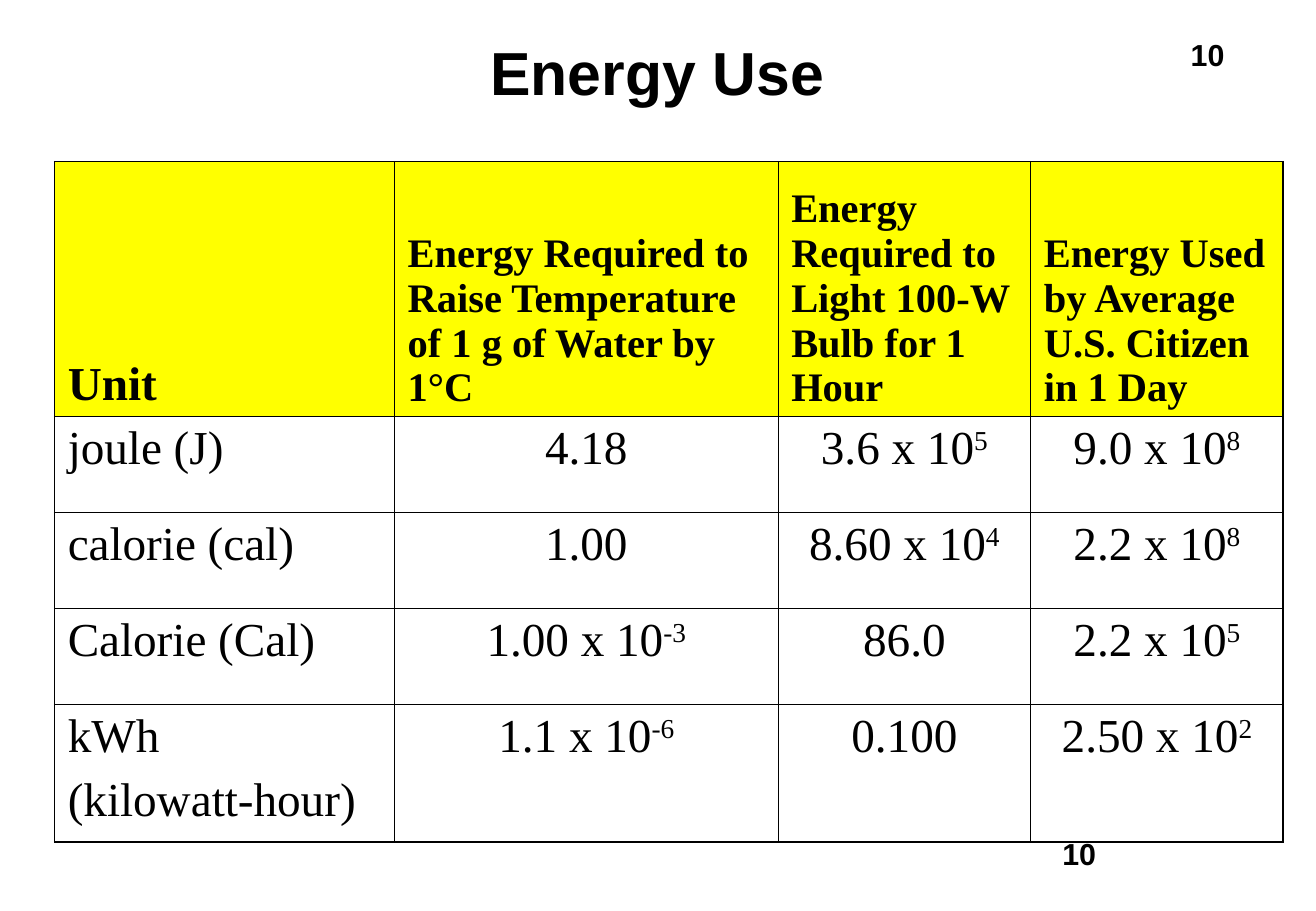
from pptx import Presentation
from pptx.dml.color import RGBColor as RGB
from pptx.enum.text import MSO_ANCHOR as Anchor, PP_ALIGN as Align
from pptx.oxml import parse_xml
from pptx.util import Pt

HUES = {"ink": "000000", "head": "FFFF00"}
NS = "http://schemas.openxmlformats.org/drawingml/2006/main"
THIN, THICK = 0.45, 1.08


def style(para, face, size, bold, align):
    para.alignment = align
    font = para.font
    font.name, font.size, font.bold = face, Pt(size), bold
    font.color.rgb = RGB.from_string(HUES["ink"])


def edge(cell, side, width):
    cell._tc.get_or_add_tcPr().append(parse_xml(
        f'<a:ln{side} xmlns:a="{NS}" w="{Pt(width)}"><a:solidFill>'
        f'<a:srgbClr val="{HUES["ink"]}"/></a:solidFill></a:ln{side}>'))


deck = Presentation()
deck.slide_width, deck.slide_height = Pt(780.48), Pt(540)
slide = deck.slides.add_slide(deck.slide_layouts[6])

labels = [
    ("10", 699.1, 18, 101.5, 28.8, 18, Align.LEFT, Anchor.TOP, False),
    ("10", 558.7, 491.8, 162.7, 36, 18, Align.CENTER, Anchor.TOP, True),
    ("Energy Use", 58.3, 0, 663.1, 90, 36, Align.CENTER, Anchor.MIDDLE, True),
]
for text, left, top, width, height, size, align, anchor, wrap in labels:
    box = slide.shapes.add_textbox(Pt(left), Pt(top), Pt(width), Pt(height))
    frame = box.text_frame
    frame.word_wrap, frame.vertical_anchor = wrap, anchor
    frame.text = text
    style(frame.paragraphs[0], "Arial", size, True, align)
frame.paragraphs[0].line_spacing = 0.9

rows = [
    ["Unit", "Energy Required to Raise Temperature of 1 g of Water by 1°C",
     "Energy Required to Light 100-W Bulb for 1 Hour",
     "Energy Used by Average U.S. Citizen in 1 Day"],
    ["joule (J)", "4.18", "3.6 x 10^5", "9.0 x 10^8"],
    ["calorie (cal)", "1.00", "8.60 x 10^4", "2.2 x 10^8"],
    ["Calorie (Cal)", "1.00 x 10^-3", "86.0", "2.2 x 10^5"],
    ["kWh\n(kilowatt-hour)", "1.1 x 10^-6", "0.100", "2.50 x 10^2"],
]
widths = [201.6, 227.5, 149.8, 149.8]
heights = [151.2, 56.9, 56.9, 56.9, 81.4]
table = slide.shapes.add_table(
    len(rows), len(widths), Pt(32.4), Pt(95.8),
    Pt(sum(widths)), Pt(sum(heights))).table
table.first_row = table.horz_banding = False
for col, width in zip(table.columns, widths):
    col.width = Pt(width)
for row, height in zip(table.rows, heights):
    row.height = Pt(height)

for r, row in enumerate(rows):
    for c, text in enumerate(row):
        cell = table.cell(r, c)
        head = r == 0
        cell.margin_left = cell.margin_right = Pt(7.8)
        cell.margin_top = cell.margin_bottom = Pt(3.6)
        cell.vertical_anchor = Anchor.BOTTOM if head else Anchor.TOP
        ends = {"L": c == 0, "R": c == len(widths) - 1,
                "T": head, "B": r == len(rows) - 1}
        for side, outer in ends.items():
            edge(cell, side, THICK if outer else THIN)
        if head:
            cell.fill.solid()
            cell.fill.fore_color.rgb = RGB.from_string(HUES["head"])
        else:
            cell.fill.background()
        base, _, power = text.partition("^")
        cell.text = base
        for n, para in enumerate(cell.text_frame.paragraphs):
            if n:
                para.space_before = Pt(7)
            style(para, "Times New Roman", 24 if head and c else 28, head,
                  Align.CENTER if c and not head else Align.LEFT)
        if power:
            run = para.add_run()
            run.text = power
            run._r.get_or_add_rPr().set("baseline", "30000")

deck.save("out.pptx")
